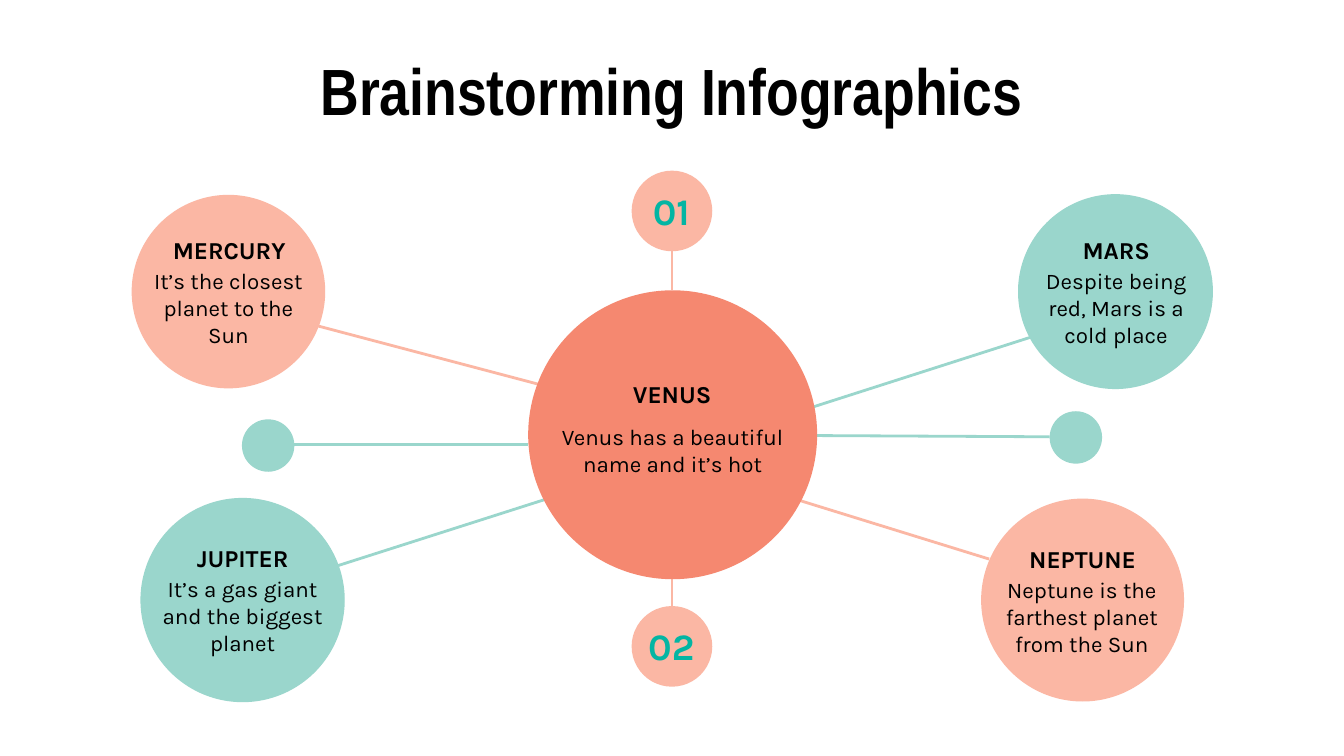
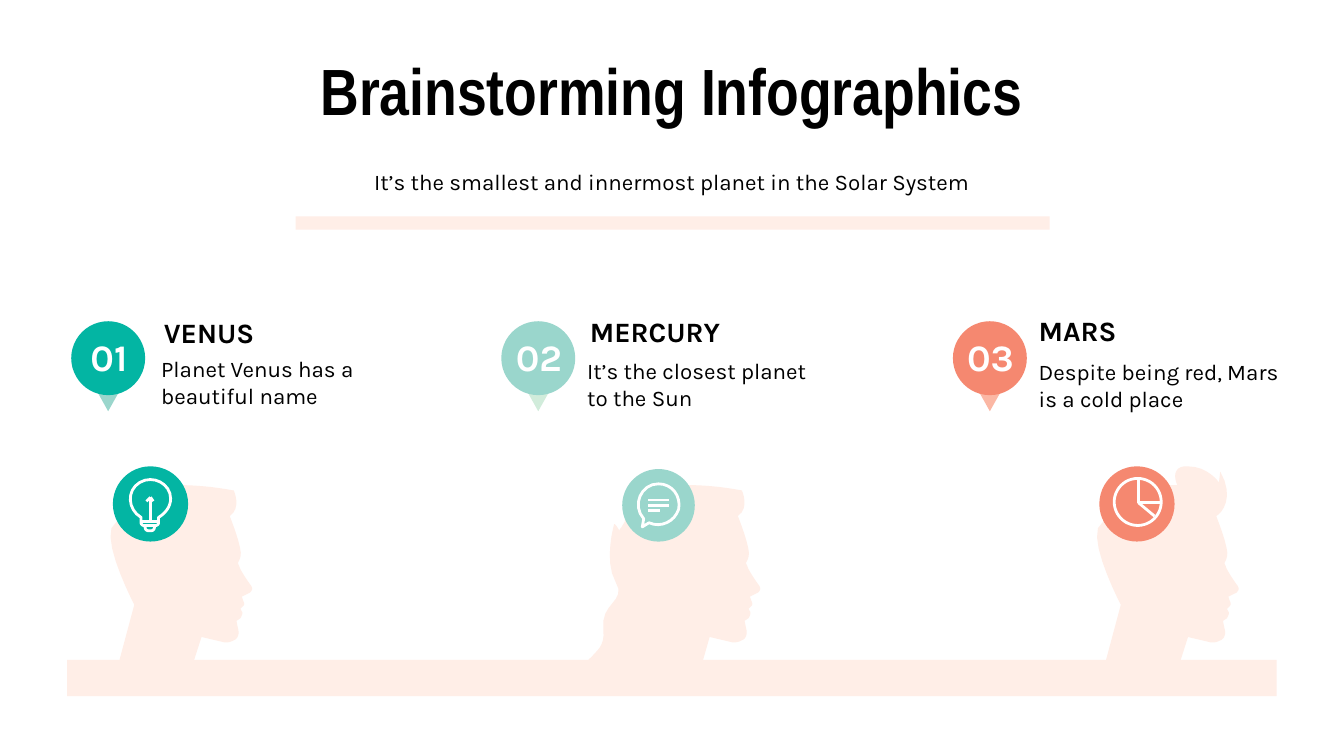
from dataclasses import dataclass
from typing import Optional

from lxml import etree
from pptx import Presentation
from pptx import util as u
from pptx.dml import color
from pptx.enum import shapes, text
from pptx.oxml import ns

PX = 9144  # one px is a hundredth of an inch
WIDE = 1000 * PX
HIGH = WIDE * 9 // 16
OVAL = shapes.MSO_SHAPE.OVAL
BAR = shapes.MSO_SHAPE.RECTANGLE
TIP = shapes.MSO_SHAPE.FLOWCHART_MERGE
MID, LEFT = text.PP_ALIGN.CENTER, text.PP_ALIGN.LEFT


@dataclass(frozen=True)
class Theme:
    ink: str = "000000"
    white: str = "FFFFFF"
    teal: str = "03B5A3"
    mint: str = "9AD6CC"
    pale: str = "D1ECDB"
    coral: str = "F58870"
    peach: str = "FBB7A4"
    blush: str = "FFEEE7"
    head: str = "Arial Narrow"
    body: str = "Karla"
    title: int = 35
    num: int = 20
    name: int = 15
    label: int = 13
    note: int = 12
    thin: float = 0.75
    rule: float = 1.5


T = Theme()


@dataclass(frozen=True)
class Planet:
    name: str
    note: str
    x: int
    y: int
    size: int
    drop: int   # from circle top to name
    wide: int   # width of the note
    fill: str
    edge: bool = False


@dataclass(frozen=True)
class Dot:
    x: int
    y: int
    size: int
    fill: str
    num: str = ""


@dataclass(frozen=True)
class Spoke:
    x1: int
    y1: int
    x2: int
    y2: int
    ink: str


@dataclass(frozen=True)
class Stop:
    num: str
    name: str
    note: str
    mid: int    # centre of the pin
    nx: int
    ny: int
    tx: int
    ty: int
    fill: str
    tip: str
    disc: tuple  # left, top, size of the icon disc


@dataclass(frozen=True)
class Head:
    dx: int
    start: tuple
    back: list
    crown: list


# Slide 1 data
PLANETS = [
    Planet("MERCURY", "It’s the closest planet to the Sun", 98, 145, 144, 23, 144, T.peach),
    Planet("MARS", "Despite being red, Mars is a cold place", 758, 145, 144, 23, 127, T.mint, True),
    Planet("JUPITER", "It’s a gas giant and the biggest planet", 105, 371, 151, 26, 149, T.mint, True),
    Planet("NEPTUNE", "Neptune is the farthest planet from the Sun", 730, 371, 151, 27, 144, T.peach),
]
DOTS = [
    Dot(470, 127, 60, T.peach, "01"),
    Dot(470, 451, 60, T.peach, "02"),
    Dot(180, 312, 39, T.mint),
    Dot(781, 306, 39, T.mint),
]
SPOKES = [
    Spoke(227, 240, 401, 286, T.peach),
    Spoke(776, 248, 595, 306, T.mint),
    Spoke(417, 368, 248, 422, T.mint),
    Spoke(584, 369, 736, 416, T.peach),
    Spoke(219, 331, 393, 331, T.mint),
    Spoke(781, 325, 585, 324, T.mint),
    Spoke(500, 430, 500, 451, T.peach),
    Spoke(500, 187, 500, 216, T.peach),
]

# Slide 2 data
STOPS = [
    Stop("01", "VENUS", "Planet Venus has a beautiful name",
         80, 112, 229, 110, 253, T.teal, T.mint, (84, 347, 56)),
    Stop("02", "MERCURY", "It’s the closest planet to the Sun",
         400, 429, 228, 427, 254, T.mint, T.pale, (463, 349, 54)),
    Stop("03", "MARS", "Despite being red, Mars is a cold place",
         736, 763, 227, 763, 255, T.coral, T.peach, (818, 347, 56)),
]

# Outline steps: two numbers make a line, six a curve
FACE = [
    (150, 474), (167, 478), (168, 478, 168, 478, 169, 478),
    (171, 478, 173, 477, 175, 476), (178, 474, 178, 470, 177, 467),
    (176, 462), (179, 460), (180, 458, 181, 456, 180, 455), (179, 453),
    (181, 451), (182, 450, 182, 449, 181, 447), (180, 444),
    (182, 443, 184, 442, 186, 441), (188, 439, 188, 438, 187, 436),
    (184, 432, 178, 423, 178, 421), (176, 418, 178, 419, 179, 414),
    (181, 409, 171, 384, 171, 384),
]
NAPE = [(84, 361, 87, 388, 87, 388), (83, 393),
        (78, 408, 100, 450, 100, 450), (89, 491), (141, 502)]
LONG = [
    (84, 361, 87, 388, 87, 388), (84, 393), (83, 394, 83, 394, 83, 395),
    (81, 392, 80, 390, 79, 390), (79, 390, 71, 417, 80, 433),
    (89, 448, 68, 448, 71, 469), (72, 481, 66, 484, 62, 489),
    (58, 492, 55, 497, 56, 508), (57, 510, 58, 513, 59, 515),
    (107, 515), (112, 510, 115, 503, 115, 496), (142, 502),
]
QUIFF = [(149, 347, 148, 347, 147, 347), (140, 348, 139, 354, 142, 361),
         (139, 361, 136, 361, 134, 361)]
FLAT = [(180, 378, 174, 365, 174, 365), (158, 362, 144, 361, 134, 361)]
TUFT = [(175, 382, 185, 370, 174, 351), (173, 359), (173, 359, 165, 347, 150, 347)]
HEADS = [
    Head(0, (134, 361), NAPE, FLAT),
    Head(378, (134, 361), LONG, FLAT),
    Head(734, (150, 347), QUIFF + NAPE, TUFT),
]
BULB = [(127, 360, 114, 353, 104, 359), (94, 365, 95, 379, 105, 385), (105, 389),
        (105, 390, 106, 391, 107, 391), (116, 391), (117, 391, 118, 390, 118, 389),
        (118, 385), (123, 382, 127, 377, 127, 371)]
BASE = [(108, 394, 109, 395, 111, 395), (112, 395), (114, 395, 115, 394, 115, 392)]
CHAT = [(477, 360, 470, 376, 479, 386), (478, 392), (483, 389),
        (492, 393, 502, 388, 505, 379), (507, 369, 500, 360, 490, 360)]
STROKES = [
    (105, 388, 119, 388), (112, 370, 114, 373), (109, 373, 112, 370), (112, 388, 112, 370),
    (482, 372, 498, 372), (482, 376, 498, 376), (482, 380, 491, 380),
    (847, 374, 864, 374), (847, 374, 847, 356), (847, 374, 859, 384),
]


def rgb(code: str) -> color.RGBColor:
    return color.RGBColor.from_string(code)


def put(frame, words: str, *, size: int = T.note, ink: str = T.ink, font: str = T.body,
        bold: bool = False, align=MID) -> None:
    """Write one formatted paragraph into a text frame."""
    frame.word_wrap = True
    frame.auto_size = text.MSO_AUTO_SIZE.NONE
    frame.vertical_anchor = text.MSO_ANCHOR.MIDDLE
    frame.margin_left = frame.margin_right = 10 * PX
    frame.margin_top = frame.margin_bottom = 10 * PX
    para = frame.paragraphs[0]
    para.alignment = align
    run = para.add_run()
    run.text = words
    run.font.size, run.font.bold, run.font.name = u.Pt(size), bold, font
    run.font.color.rgb = rgb(ink)


def label(slide, x: int, y: int, w: int, h: int, words: str, **look) -> None:
    box = slide.shapes.add_textbox(x * PX, y * PX, w * PX, h * PX)
    put(box.text_frame, words, **look)


def paint(shape, fill: Optional[str], edge: Optional[str], width: float) -> None:
    shape.shadow.inherit = False
    if fill:
        shape.fill.solid()
        shape.fill.fore_color.rgb = rgb(fill)
    else:
        shape.fill.background()
    if edge:
        shape.line.color.rgb = rgb(edge)
        shape.line.width = u.Pt(width)
    else:
        shape.line.fill.background()


def draw(slide, kind, x: int, y: int, w: int, h: int, fill: Optional[str] = None,
         edge: Optional[str] = None, width: float = T.rule) -> None:
    shape = slide.shapes.add_shape(kind, x * PX, y * PX, w * PX, h * PX)
    paint(shape, fill, edge, width)


def link(slide, x1: int, y1: int, x2: int, y2: int, ink: str) -> None:
    line = slide.shapes.add_connector(
        shapes.MSO_CONNECTOR.STRAIGHT, x1 * PX, y1 * PX, x2 * PX, y2 * PX)
    line.line.color.rgb = rgb(ink)
    line.line.width = u.Pt(T.rule)
    etree.SubElement(line.element.spPr, ns.qn("a:effectLst"))


def trace(start: tuple, steps: list, dx: int = 0, cuts: int = 8) -> list:
    """Turn lines and cubic curves into points in EMU."""
    dots = [start]
    for step in steps:
        if len(step) == 2:
            dots.append(step)
            continue
        ends = [dots[-1], step[:2], step[2:4], step[4:]]
        for n in range(1, cuts + 1):
            t = n / cuts
            mix = ((1 - t) ** 3, 3 * t * (1 - t) ** 2, 3 * t * t * (1 - t), t ** 3)
            dots.append(tuple(sum(m * e[i] for m, e in zip(mix, ends)) for i in (0, 1)))
    return [(round((x + dx) * PX), round(y * PX)) for x, y in dots]


def form(slide, start: tuple, steps: list, *, dx: int = 0, fill: Optional[str] = None,
         edge: Optional[str] = None, close: bool = True) -> None:
    dots = trace(start, steps, dx)
    pen = slide.shapes.build_freeform(*dots[0])
    pen.add_line_segments(dots[1:], close=close)
    paint(pen.convert_to_shape(), fill, edge, T.rule)


def page(deck):
    """Add a slide with the shared title."""
    slide = deck.slides.add_slide(deck.slide_layouts[5])
    title = slide.shapes.title
    title.left, title.top, title.width, title.height = (n * PX for n in (34, 37, 932, 59))
    put(title.text_frame, "Brainstorming Infographics", size=T.title, font=T.head, bold=True)
    return slide


def web(deck) -> None:
    slide = page(deck)
    for s in SPOKES:
        link(slide, s.x1, s.y1, s.x2, s.y2, s.ink)
    # Hub
    draw(slide, OVAL, 393, 216, 215, 215, T.coral)
    label(slide, 398, 299, 205, 72, "Venus has a beautiful name and it’s hot")
    label(slide, 419, 275, 162, 36, "VENUS", size=T.label, bold=True)
    # Planets
    for p in PLANETS:
        draw(slide, OVAL, p.x, p.y, p.size, p.size, p.fill, p.fill if p.edge else None, T.thin)
        mid, top = p.x + p.size // 2, p.y + p.drop
        label(slide, mid - p.wide // 2, top + 25, p.wide, 72, p.note)
        label(slide, mid - 63, top, 127, 36, p.name, size=T.label, bold=True)
    # Small circles
    for d in DOTS:
        draw(slide, OVAL, d.x, d.y, d.size, d.size, d.fill)
        if d.num:
            label(slide, d.x - 4, d.y - 1, 67, 61, d.num, size=T.num, ink=T.teal, bold=True)


def minds(deck) -> None:
    slide = page(deck)
    # Heads on their base
    for h in HEADS:
        form(slide, h.start, h.back + FACE + h.crown, dx=h.dx, fill=T.blush)
    draw(slide, BAR, 50, 491, 900, 27, T.blush)
    # Subtitle
    draw(slide, BAR, 220, 161, 561, 10, T.blush)
    label(slide, 227, 108, 546, 54, "It’s the smallest and innermost planet in the Solar System")
    # Pins, words and icon discs
    for s in STOPS:
        draw(slide, TIP, s.mid - 9, 289, 19, 17, s.tip)
        draw(slide, OVAL, s.mid - 27, 239, 55, 55, s.fill)
        label(slide, s.mid - 28, 243, 58, 44, s.num, size=T.num, ink=T.white, bold=True)
        label(slide, s.tx, s.ty, 202, 63, s.note, align=LEFT)
        label(slide, s.nx, s.ny, 202, 37, s.name, size=T.name, bold=True, align=LEFT)
        x, y, size = s.disc
        draw(slide, OVAL, x, y, size, size, s.fill)
    # Icons: bulb, speech bubble, pie
    form(slide, (127, 371), BULB, edge=T.white)
    form(slide, (108, 392), BASE, edge=T.white, close=False)
    form(slide, (490, 360), CHAT, edge=T.white)
    draw(slide, OVAL, 829, 356, 35, 35, edge=T.white)
    for stroke in STROKES:
        link(slide, *stroke, T.white)


def main() -> None:
    deck = Presentation()
    deck.slide_width, deck.slide_height = WIDE, HIGH
    web(deck)
    minds(deck)
    deck.save("out.pptx")


if __name__ == "__main__":
    main()
